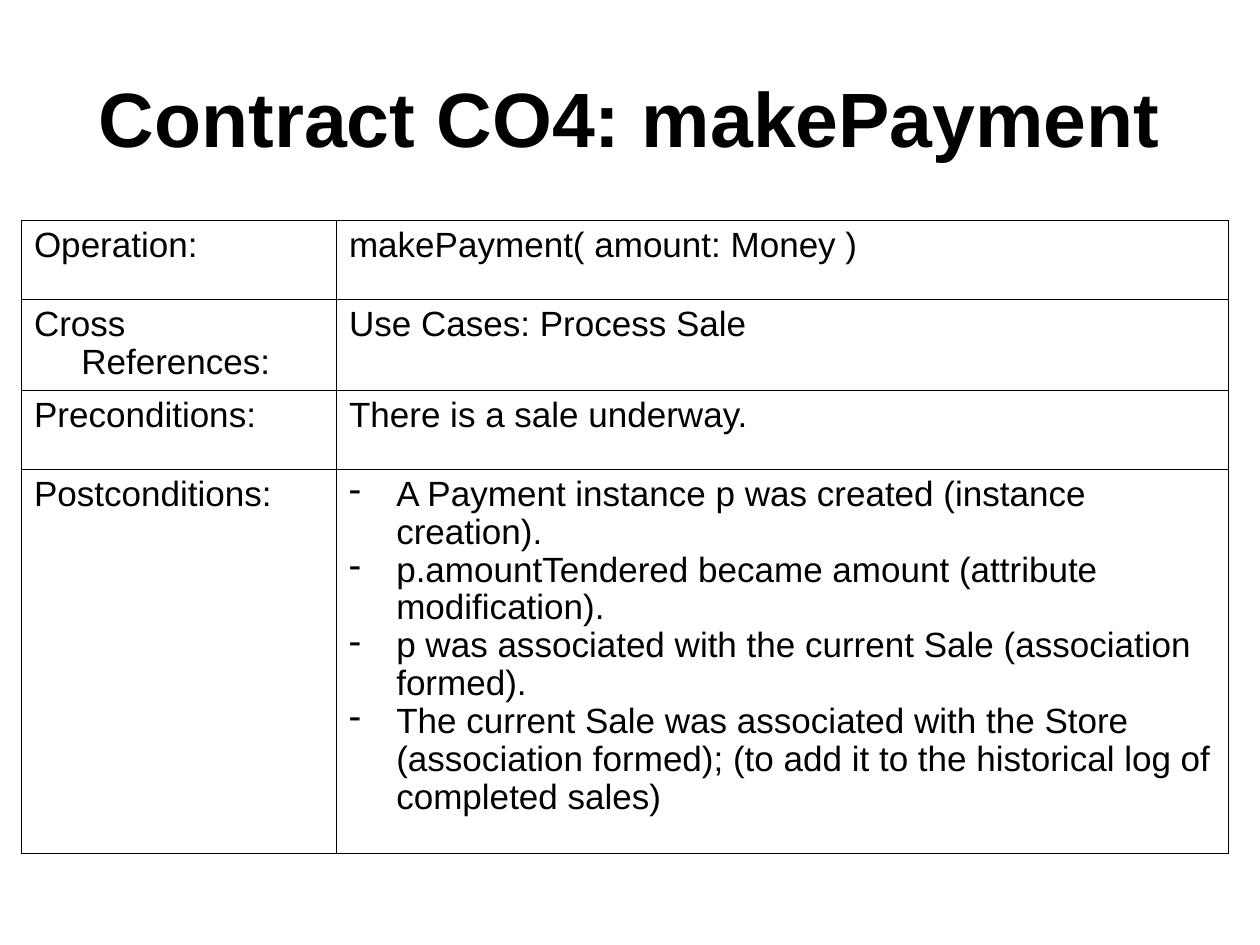
from lxml import etree
from pptx import Presentation
from pptx.dml.color import RGBColor
from pptx.enum.text import MSO_ANCHOR, PP_ALIGN
from pptx.oxml.ns import qn
from pptx.util import Pt

CENTER = PP_ALIGN.CENTER
MIDDLE = MSO_ANCHOR.MIDDLE
TOP = MSO_ANCHOR.TOP

BLACK = RGBColor(0x00, 0x00, 0x00)
FONT = "Arial"
INDENT = 27
BORDER_WIDTH = 0.45
TITLE_ONLY_LAYOUT = 5

COLUMN_WIDTHS = [180, 509.75]
ROW_HEIGHTS = [45.25, 52, 45.25, 219]
CONTRACT = [
    ("Operation:", "makePayment( amount: Money )"),
    ("Cross References:", "Use Cases: Process Sale"),
    ("Preconditions:", "There is a sale underway."),
    ("Postconditions:", [
        "A Payment instance p was created (instance creation).",
        "p.amountTendered became amount (attribute modification).",
        "p was associated with the current Sale (association formed).",
        "The current Sale was associated with the Store (association formed); "
        "(to add it to the historical log of completed sales)",
    ]),
]


def write_paragraph(para, text, size, bold=False, align=None, spacing=None,
                    hanging=0, bullet=None):
    """Fill one paragraph and format it."""
    if spacing:
        para.line_spacing = spacing
    para.space_before = Pt(0)
    if align is not None:
        para.alignment = align
    if hanging:
        properties = para._p.get_or_add_pPr()
        properties.set("marL", str(Pt(hanging)))
        properties.set("indent", str(Pt(-hanging)))
        if bullet:
            color = etree.SubElement(properties, qn("a:buClr"))
            etree.SubElement(color, qn("a:srgbClr"), val=str(BLACK))
            etree.SubElement(properties, qn("a:buChar"), char=bullet)
        else:
            etree.SubElement(properties, qn("a:buNone"))
    span = para.add_run()
    span.text = text
    span.font.name = FONT
    span.font.size = Pt(size)
    span.font.bold = bold
    span.font.color.rgb = BLACK


def add_borders(cell):
    """Draw a thin line on all four sides of a cell."""
    properties = cell._tc.get_or_add_tcPr()
    for position, side in enumerate(("a:lnL", "a:lnR", "a:lnT", "a:lnB")):
        line = etree.Element(qn(side), w=str(Pt(BORDER_WIDTH)))
        fill = etree.SubElement(line, qn("a:solidFill"))
        etree.SubElement(fill, qn("a:srgbClr"), val=str(BLACK))
        properties.insert(position, line)


def fill_cell(cell, content):
    """Write a single text, or a dashed list when given several."""
    cell.fill.background()
    add_borders(cell)
    cell.vertical_anchor = TOP
    cell.margin_left = Pt(7.2)
    cell.margin_right = Pt(7.5)
    cell.margin_top = cell.margin_bottom = Pt(3.6)
    is_list = isinstance(content, list)
    frame = cell.text_frame
    for index, text in enumerate(content if is_list else [content]):
        para = frame.add_paragraph() if index else frame.paragraphs[0]
        write_paragraph(para, text, size=20, spacing=0.97, hanging=INDENT,
                        bullet="-" if is_list else None)


def add_title(page, text):
    box = page.shapes.title
    box.left, box.top, box.width, box.height = Pt(36), Pt(21.6), Pt(648), Pt(90)
    box.text_frame.vertical_anchor = MIDDLE
    write_paragraph(box.text_frame.paragraphs[0], text, size=44, bold=True,
                    align=CENTER)


def add_contract_table(page):
    table = page.shapes.add_table(
        len(CONTRACT), len(COLUMN_WIDTHS), Pt(12.25), Pt(126),
        Pt(sum(COLUMN_WIDTHS)), Pt(sum(ROW_HEIGHTS))).table
    table.first_row = False
    table.horz_banding = False
    for column, width in zip(table.columns, COLUMN_WIDTHS):
        column.width = Pt(width)
    for row, height, contents in zip(table.rows, ROW_HEIGHTS, CONTRACT):
        row.height = Pt(height)
        for cell, content in zip(row.cells, contents):
            fill_cell(cell, content)


def main():
    deck = Presentation()
    deck.slide_width, deck.slide_height = Pt(720), Pt(540)
    page = deck.slides.add_slide(deck.slide_layouts[TITLE_ONLY_LAYOUT])

    # Heading
    add_title(page, "Contract CO4: makePayment")

    # Operation contract
    add_contract_table(page)

    deck.save("out.pptx")


if __name__ == "__main__":
    main()
